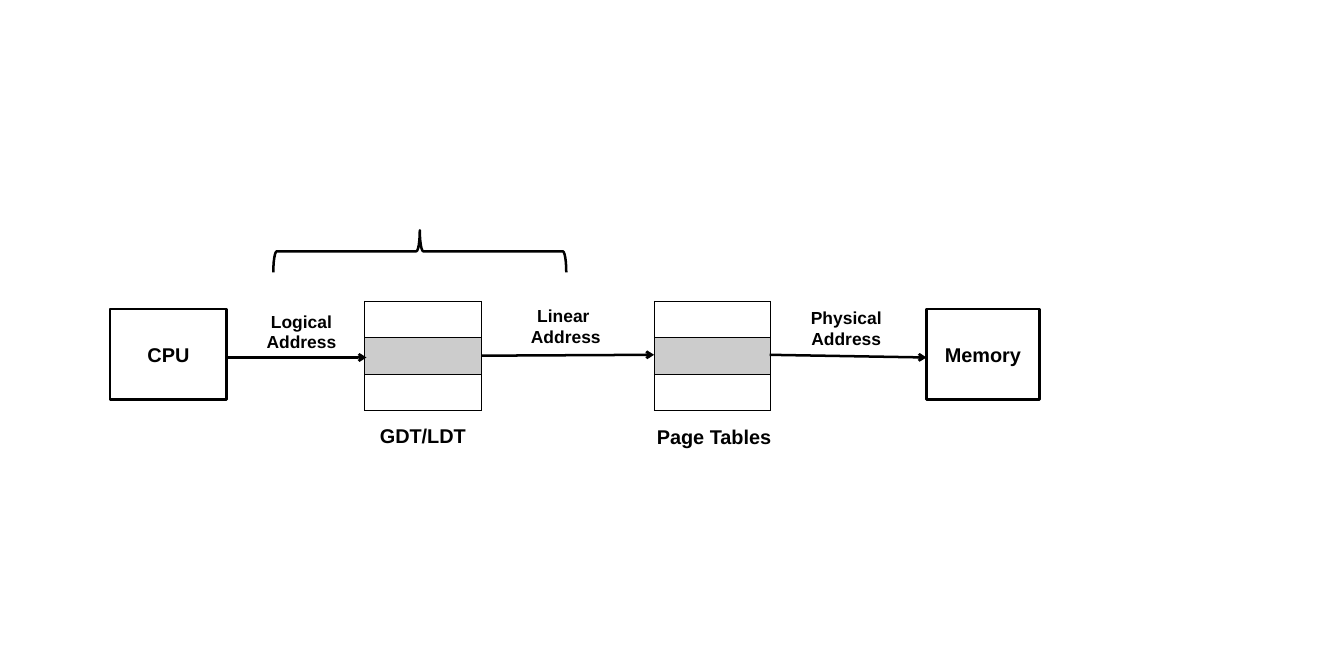
from dataclasses import dataclass

import pptx
import pptx.dml.color
import pptx.enum.shapes
import pptx.enum.text
import pptx.oxml
import pptx.oxml.ns
import pptx.util

COLORS = {"ink": "000000", "paper": "FFFFFF", "shade": "CCCCCC"}
COLUMNS, ROWS = 150, 75  # grid over the slide
CELL = pptx.util.Inches(0.1)
FONT = "Arial"
LINE_WIDTH = 2
BORDER_WIDTH = 0.45
SHAPES = pptx.enum.shapes.MSO_SHAPE


@dataclass(frozen=True)
class Area:
    column: float
    row: float
    columns: float
    rows: float

    def lengths(self) -> tuple:
        return tuple(grid(value) for value in (self.column, self.row, self.columns, self.rows))


@dataclass(frozen=True)
class Label:
    text: str
    area: Area
    size: int


@dataclass(frozen=True)
class Arrow:
    start: tuple[float, float]
    end: tuple[float, float]


DEVICES = [
    Label("CPU", Area(12.3, 34.5, 13, 10.1), 16),
    Label("Memory", Area(103.4, 34.5, 12.6, 10.1), 16),
]
LABELS = [
    Label("Logical Address", Area(25.4, 33.6, 16.5, 6.8), 14),
    Label("Linear \nAddress", Area(54.9, 33, 16.5, 6.8), 14),
    Label("Physical Address", Area(86.2, 33.2, 16.5, 6.8), 14),
    Label("GDT/LDT", Area(37.2, 44.6, 20, 8), 16),
    Label("Page Tables", Area(67.9, 44.9, 23.6, 7.6), 16),
]
ARROWS = [
    Arrow((25.4, 39.9), (40.9, 39.9)),
    Arrow((53.7, 39.7), (73, 39.6)),
    Arrow((85.9, 39.6), (103.4, 39.9)),
]
LOOKUP_TABLES = [Area(column, 33.6, 13, 12.2) for column in (40.7, 73)]
BRACE = Area(44.5, 11.7, 4.7, 32.7)  # before its quarter turn


def grid(value: float) -> int:
    return round(value * CELL)


def color(name: str) -> pptx.dml.color.RGBColor:
    return pptx.dml.color.RGBColor.from_string(COLORS[name])


def write(box, text: str, *, size: int, bold: bool = True) -> None:
    frame = box.text_frame
    frame.word_wrap = True
    frame.vertical_anchor = pptx.enum.text.MSO_ANCHOR.MIDDLE
    frame.text = text
    for para in frame.paragraphs:
        para.alignment = pptx.enum.text.PP_ALIGN.CENTER
        for span in para.runs:
            span.font.name = FONT
            span.font.size = pptx.util.Pt(size)
            span.font.bold = bold
            span.font.color.rgb = color("ink")


def outline(item) -> None:
    item.line.color.rgb = color("ink")
    item.line.width = pptx.util.Pt(LINE_WIDTH)


def draw_outlined(page, kind, area: Area):
    shape = page.shapes.add_shape(kind, *area.lengths())
    shape.shadow.inherit = False
    shape.fill.background()
    outline(shape)
    return shape


def draw_label(page, label: Label) -> None:
    write(page.shapes.add_textbox(*label.area.lengths()), label.text, size=label.size)


def draw_device(page, device: Label) -> None:
    write(draw_outlined(page, SHAPES.RECTANGLE, device.area), device.text, size=device.size)


def draw_arrow(page, arrow: Arrow) -> None:
    ends = [grid(value) for value in arrow.start + arrow.end]
    connector = page.shapes.add_connector(pptx.enum.shapes.MSO_CONNECTOR.STRAIGHT, *ends)
    outline(connector)
    head = pptx.oxml.parse_xml(f'<a:tailEnd {pptx.oxml.ns.nsdecls("a")} type="arrow"/>')
    connector.line._get_or_add_ln().append(head)
    effects = pptx.oxml.parse_xml(f'<a:effectLst {pptx.oxml.ns.nsdecls("a")}/>')
    connector._element.spPr.append(effects)


def add_borders(cell) -> None:
    properties = cell._tc.get_or_add_tcPr()
    for position, side in enumerate("LRTB"):
        border = pptx.oxml.parse_xml(
            f'<a:ln{side} {pptx.oxml.ns.nsdecls("a")} w="{pptx.util.Pt(BORDER_WIDTH)}">'
            f'<a:solidFill><a:srgbClr val="{COLORS["ink"]}"/></a:solidFill></a:ln{side}>'
        )
        properties.insert(position, border)


def draw_lookup_table(page, area: Area) -> None:
    """Draw three stacked entries with the middle one shaded."""
    fills = ["paper", "shade", "paper"]
    table = page.shapes.add_table(len(fills), 1, *area.lengths()).table
    table.first_row = table.horz_banding = False
    for index, fill in enumerate(fills):
        cell = table.cell(index, 0)
        cell.fill.solid()
        cell.fill.fore_color.rgb = color(fill)
        add_borders(cell)


def main() -> None:
    deck = pptx.Presentation()
    deck.slide_width, deck.slide_height = COLUMNS * CELL, ROWS * CELL
    page = deck.slides.add_slide(deck.slide_layouts[6])
    for label in LABELS:
        draw_label(page, label)
    for device in DEVICES:
        draw_device(page, device)
    for area in LOOKUP_TABLES:
        draw_lookup_table(page, area)
    for arrow in ARROWS:
        draw_arrow(page, arrow)
    draw_outlined(page, SHAPES.LEFT_BRACE, BRACE).rotation = 90
    deck.save("out.pptx")


if __name__ == "__main__":
    main()
